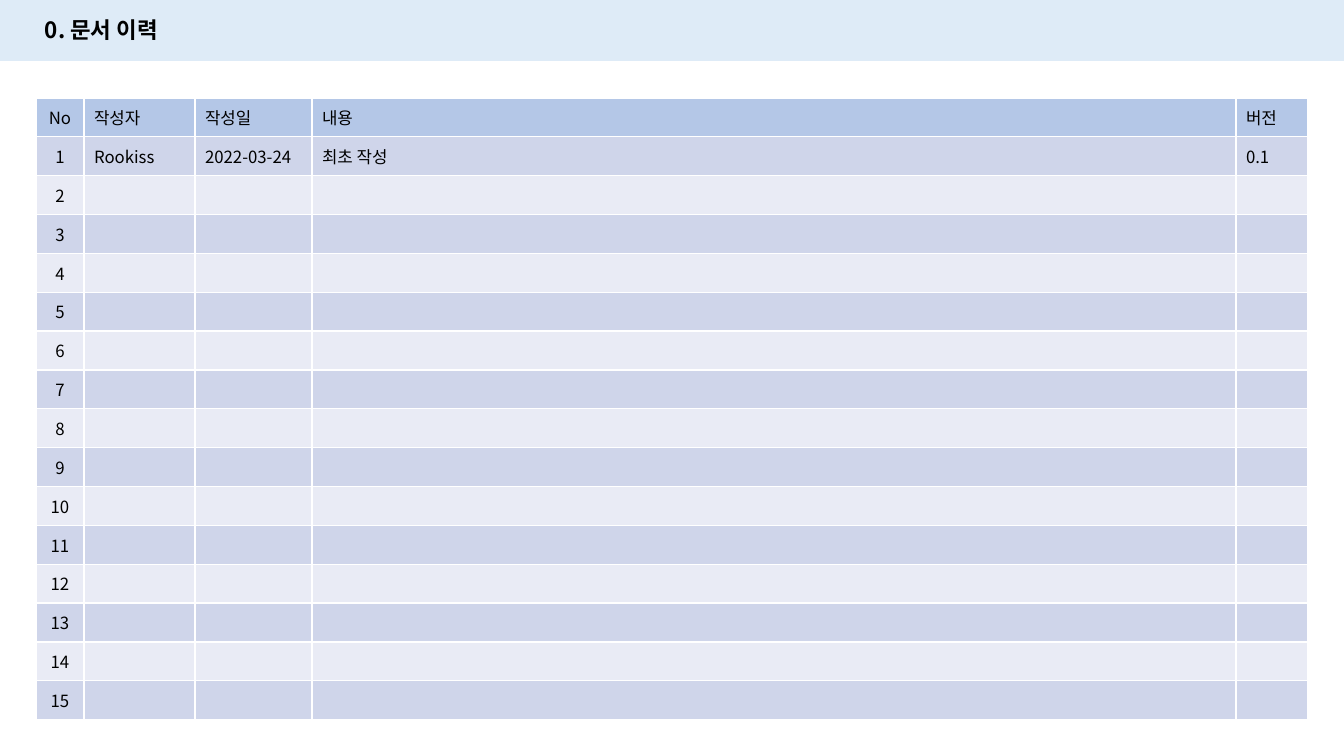
from pptx import Presentation
from pptx.dml.color import RGBColor
from pptx.enum.shapes import MSO_SHAPE as Shape
from pptx.enum.text import MSO_ANCHOR as Anchor, PP_ALIGN as Align
from pptx.oxml.ns import qn
from pptx.util import Pt
from lxml.etree import SubElement

EMU_PER_PX = 914400 / 100.8
FONT = "Noto Sans CJK KR"
COLORS = {
    "text": "000000",
    "banner": "DEEBF7",
    "header": "B4C7E7",
    "odd": "CFD5EA",
    "even": "E9EBF5",
}
HEADER = ["No", "작성자", "작성일", "내용", "버전"]
REVISIONS = [["Rookiss", "2022-03-24", "최초 작성", "0.1"]]
REVISION_COUNT = 15
COLUMN_WIDTHS = [48, 111, 117, 924, 72]
TABLE_HEIGHT = 622


def px(length):
    return round(length * EMU_PER_PX)


def color(name):
    return RGBColor.from_string(COLORS[name])


def paint(target, name):
    target.fill.solid()
    target.fill.fore_color.rgb = color(name)


def write(para, text, size, bold=False):
    """Set the text and format it; an empty paragraph keeps the size too."""
    para.text = text
    for span in para.runs:
        span.font.name = FONT
        span.font.size = Pt(size)
        span.font.bold = bold
        span.font.color.rgb = color("text")
        east_asian = SubElement(span.font._element, qn("a:ea"))
        east_asian.set("typeface", FONT)
    if not text:
        para._p.get_or_add_endParaRPr().set("sz", str(size * 100))


def add_banner(page, width, height):
    banner = page.shapes.add_shape(Shape.RECTANGLE, 0, 0, px(width), px(height))
    banner.shadow.inherit = False
    paint(banner, "banner")
    banner.line.fill.background()


def add_title(page, text, left, top, width, height):
    box = page.shapes.add_textbox(px(left), px(top), px(width), px(height))
    frame = box.text_frame
    frame.word_wrap = True
    frame.vertical_anchor = Anchor.MIDDLE
    write(frame.paragraphs[0], text, 16, bold=True)


def history_rows():
    """Header, then numbered revisions padded with empty cells."""
    blank = [""] * (len(HEADER) - 1)
    revisions = REVISIONS + [blank] * (REVISION_COUNT - len(REVISIONS))
    return [HEADER] + [[str(number), *entry]
                       for number, entry in enumerate(revisions, 1)]


def add_history_table(page, rows, left, top):
    table = page.shapes.add_table(
        len(rows), len(COLUMN_WIDTHS), px(left), px(top),
        px(sum(COLUMN_WIDTHS)), px(TABLE_HEIGHT)).table
    for column, width in zip(table.columns, COLUMN_WIDTHS):
        column.width = px(width)
    for row_index, values in enumerate(rows):
        table.rows[row_index].height = px(TABLE_HEIGHT / len(rows))
        band = "odd" if row_index % 2 else "even"
        for column_index, value in enumerate(values):
            cell = table.cell(row_index, column_index)
            paint(cell, band if row_index else "header")
            cell.vertical_anchor = Anchor.MIDDLE
            para = cell.text_frame.paragraphs[0]
            write(para, value, 12)
            if column_index == 0:
                para.alignment = Align.CENTER


def main():
    deck = Presentation()
    deck.slide_width, deck.slide_height = px(1344), px(756)
    page = deck.slides.add_slide(deck.slide_layouts[6])
    add_banner(page, 1344, 61)
    add_title(page, "0. 문서 이력", 35, 11, 213, 37)
    add_history_table(page, history_rows(), 36, 98)
    deck.save("out.pptx")


if __name__ == "__main__":
    main()
